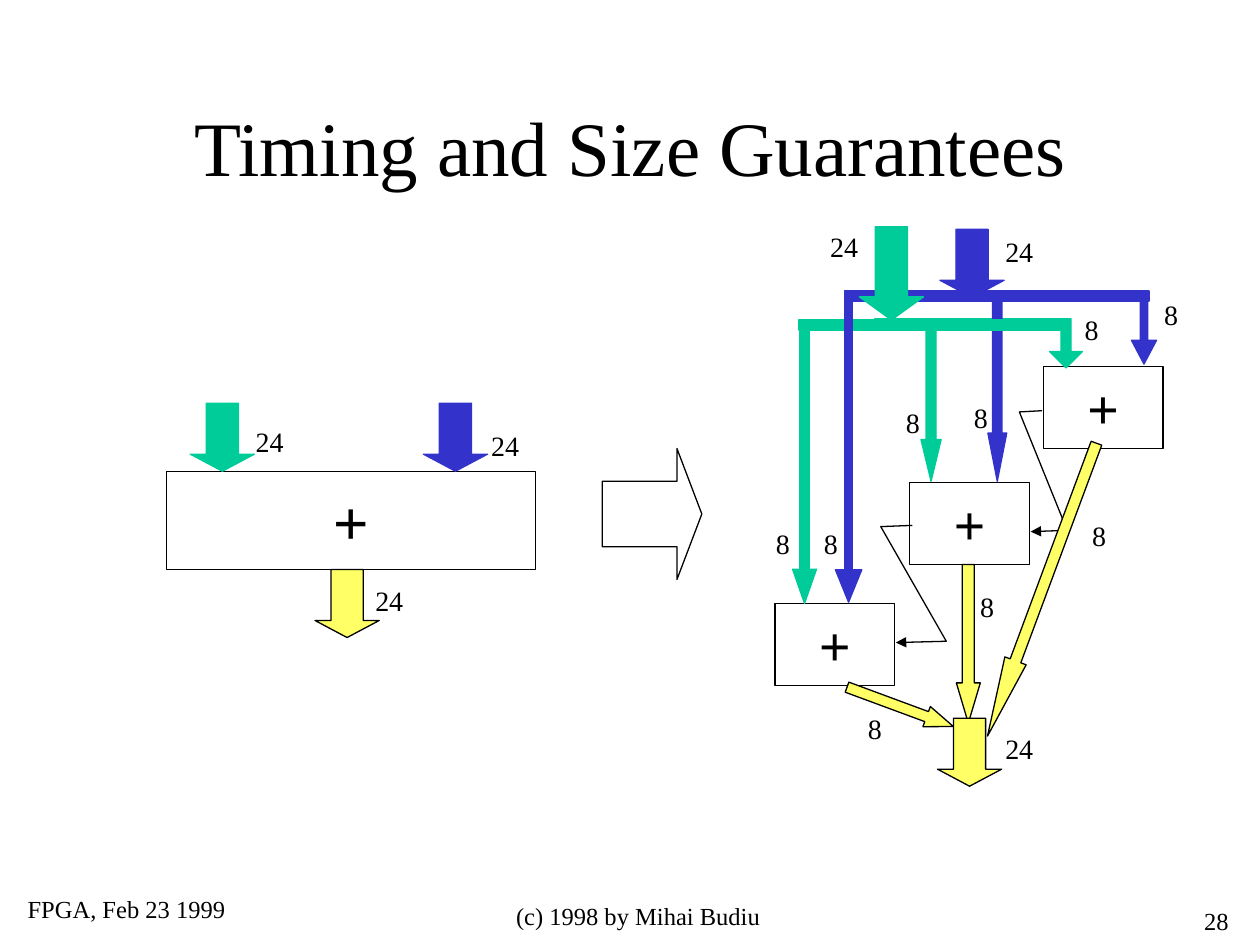
from lxml.etree import SubElement
from pptx import Presentation
from pptx.dml.color import RGBColor
from pptx.enum.shapes import MSO_SHAPE
from pptx.enum.text import MSO_ANCHOR, PP_ALIGN
from pptx.oxml.ns import qn
from pptx.util import Inches, Pt

FONT = "Times New Roman"
BLACK = RGBColor(0x00, 0x00, 0x00)
BLUE = RGBColor(0x33, 0x33, 0xCC)
GREEN = RGBColor(0x00, 0xCC, 0x99)
YELLOW = RGBColor(0xFF, 0xFF, 0x66)

# Content: lengths in inches
TITLE = "Timing and Size Guarantees"

# Adders: left, top, width, height, text size
ADDERS = [(1.32, 3.74, 2.93, 0.78, 36)] + [
    (left, top, 0.95, 0.65, 32)
    for left, top in [(8.28, 2.91), (6.15, 4.79), (7.22, 3.83)]
]

# Wide 24-bit arrows: left, top, colour
BUS_SIZE = (0.51, 0.54)
BUS_HEAD = (0.5, 0.265)
INPUT_BUSES = [(3.36, 3.2, BLUE), (1.51, 3.2, GREEN), (2.5, 4.52, YELLOW), (7.46, 1.82, BLUE)]
OUTPUT_BUS = (7.44, 5.7, YELLOW)

# Bent arrows: left, top, tip x, neck y, tip y, half shaft, half head, colour
BENT_ARROWS = [
    (7.71, 2.31, 9.08, 2.7, 2.89, 0.03, 0.1, BLUE),
    (6.94, 2.53, 8.46, 2.79, 2.92, 0.04, 0.13, GREEN),
]
BENT_BAR = 0.02

# Narrow arrows: left, top, width, height, (shaft, head), rotation, colour
MIDDLE_ARROWS = [
    (7.84, 2.33, 0.15, 1.49, (0.5, 2.55), 0, BLUE),
    (7.31, 2.53, 0.16, 1.29, (0.5, 2.07), 0, GREEN),
]
LEFT_ARROWS = [
    (6.29, 2.59, 0.19, 2.2, (0.39, 1.43), 0, GREEN),
    (6.63, 2.32, 0.21, 2.46, (0.28, 1.23), 0, BLUE),
]
SPLIT_BARS = [(6.34, 2.54, 2.15, 0.08, GREEN), (6.7, 2.31, 2.42, 0.08, BLUE)]
RESULT_ARROWS = [
    (6.82, 1.8, 0.51, 0.74, (0.5, 0.36), 0, GREEN),
    (8.18, 3.44, 0.18, 2.48, (0.5, 3.54), 20.4, YELLOW),
    (7.59, 4.48, 0.19, 1.26, (0.5, 1.68), 0, YELLOW),
    (7.06, 5.16, 0.17, 0.9, (0.5, 1.33), 290.3, YELLOW),
]

# Carry lines from one adder to the next
CARRIES = [
    [(8.27, 3.26), (8.09, 3.27), (8.47, 4.21), (8.18, 4.22)],
    [(7.24, 4.17), (6.99, 4.18), (7.51, 5.09), (7.11, 5.1)],
]

# Bit widths: text, box width, positions
BIT_WIDTHS = [
    ("24", 0.42, [(2.88, 4.58), (3.8, 3.35), (1.93, 3.32),
                  (7.88, 1.81), (6.49, 1.77), (7.88, 5.76)]),
    ("8", 0.31, [(8.57, 4.07), (9.14, 2.31), (8.51, 2.43), (7.63, 3.13), (7.09, 3.17),
                 (6.06, 4.13), (6.44, 4.13), (7.68, 4.63), (6.79, 5.6)]),
]

FOOTERS = [
    ("(c) 1998 by Mihai Budiu", (3.48, 7.1, 3.17, 0.25), PP_ALIGN.CENTER),
    ("28", (8.99, 7.14, 0.86, 0.24), PP_ALIGN.RIGHT),
    ("FPGA, Feb 23 1999", (0.12, 7.05, 2.08, 0.3), PP_ALIGN.LEFT),
]


def inches(values):
    return [Inches(value) for value in values]


def write(frame, text, size, align, bold=False):
    para = frame.paragraphs[0]
    para.alignment = align
    span = para.add_run()
    span.text = text
    span.font.name = FONT
    span.font.size = Pt(size)
    span.font.bold = bold
    span.font.color.rgb = BLACK


def paint(shape, fill=None):
    """Blue and green parts are outlined in their own colour, others in black."""
    shape.shadow.inherit = False
    if fill is None:
        shape.fill.background()
    else:
        shape.fill.solid()
        shape.fill.fore_color.rgb = fill
    shape.line.color.rgb = fill if fill in (BLUE, GREEN) else BLACK
    shape.line.width = Pt(0.75)


def add_preset(page, kind, place, fill=None, adjust=(), rotation=0):
    shape = page.shapes.add_shape(kind, *inches(place))
    for index, value in enumerate(adjust):
        shape.adjustments[index] = value
    shape.rotation = rotation
    paint(shape, fill)
    return shape


def add_bus(page, left, top, fill):
    add_preset(page, MSO_SHAPE.DOWN_ARROW, (left, top, *BUS_SIZE), fill, BUS_HEAD)


def add_narrow_arrow(page, left, top, width, height, adjust, rotation, fill):
    add_preset(page, MSO_SHAPE.DOWN_ARROW, (left, top, width, height), fill, adjust, rotation)


def add_adder(page, left, top, width, height, size):
    box = add_preset(page, MSO_SHAPE.RECTANGLE, (left, top, width, height))
    box.text_frame.word_wrap = False
    box.text_frame.vertical_anchor = MSO_ANCHOR.MIDDLE
    write(box.text_frame, "+", size, PP_ALIGN.CENTER, bold=True)


def add_outline(page, points, closed, fill=None):
    corners = [tuple(inches(point)) for point in points]
    builder = page.shapes.build_freeform(*corners[0])
    builder.add_line_segments(corners[1:], close=closed)
    shape = builder.convert_to_shape()
    paint(shape, fill)
    return shape


def add_bent_arrow(page, left, top, tip, neck, bottom, shaft, head, fill):
    under = top + BENT_BAR
    points = [
        (left, under), (tip - shaft, under), (tip - shaft, neck), (tip - head, neck),
        (tip, bottom), (tip + head, neck), (tip + shaft, neck), (tip + shaft, top), (left, top),
    ]
    add_outline(page, points, True, fill)


def add_carry(page, points):
    line = add_outline(page, points, False).line
    SubElement(line._get_or_add_ln(), qn("a:tailEnd"), type="triangle")


def add_text(page, text, place, size, align, wrap):
    frame = page.shapes.add_textbox(*inches(place)).text_frame
    frame.word_wrap = wrap
    write(frame, text, size, align)


def main():
    deck = Presentation()
    deck.slide_width, deck.slide_height = inches((10, 7.5))
    page = deck.slides.add_slide(deck.slide_layouts[5])

    # Title
    title = page.shapes.title
    title.left, title.top, title.width, title.height = inches((0.46, 0.67, 9.09, 0.97))
    title.text_frame.vertical_anchor = MSO_ANCHOR.MIDDLE
    write(title.text_frame, TITLE, 44, PP_ALIGN.CENTER)

    # Adders, and the step from one wide adder to three narrow ones
    for adder in ADDERS:
        add_adder(page, *adder)
    add_preset(page, MSO_SHAPE.RIGHT_ARROW, (4.78, 3.56, 0.79, 1.04), adjust=(0.5, 0.25))

    # Data paths, from back to front
    for bus in INPUT_BUSES:
        add_bus(page, *bus)
    for arrow in BENT_ARROWS:
        add_bent_arrow(page, *arrow)
    for arrow in MIDDLE_ARROWS:
        add_narrow_arrow(page, *arrow)
    for points in CARRIES:
        add_carry(page, points)
    for (*place, fill), arrow in zip(SPLIT_BARS, LEFT_ARROWS):
        add_preset(page, MSO_SHAPE.RECTANGLE, place, fill)
        add_narrow_arrow(page, *arrow)
    for arrow in RESULT_ARROWS:
        add_narrow_arrow(page, *arrow)
    add_bus(page, *OUTPUT_BUS)

    # Bit widths
    for text, width, positions in BIT_WIDTHS:
        for left, top in positions:
            add_text(page, text, (left, top, width, 0.37), 16, PP_ALIGN.LEFT, False)

    # Footer
    for text, place, align in FOOTERS:
        add_text(page, text, place, 14, align, True)

    deck.save("out.pptx")


if __name__ == "__main__":
    main()
